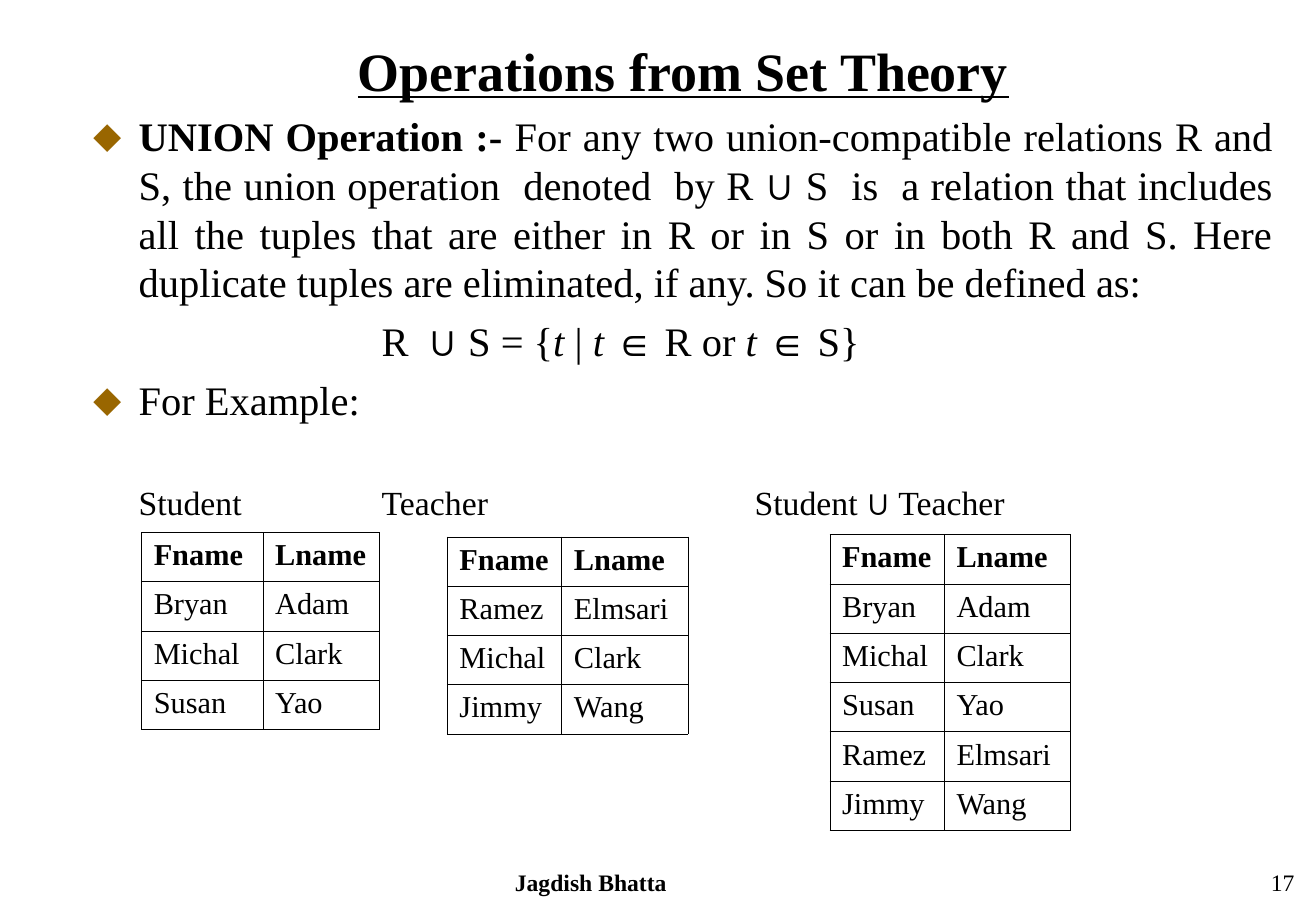
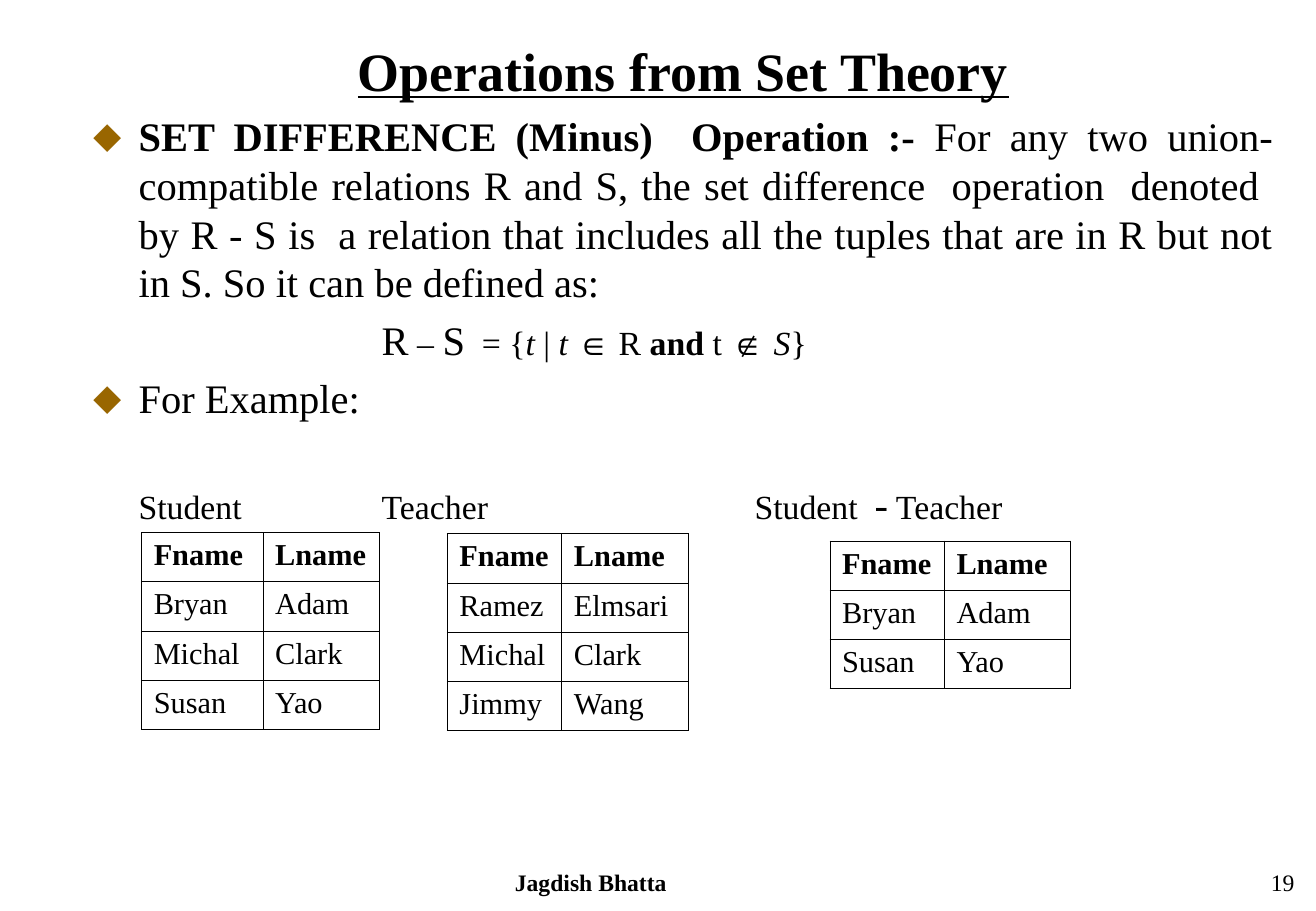
"""Build two slides on set operations of relational algebra."""
from dataclasses import dataclass
from typing import Optional

from lxml import etree
from pptx import Presentation
from pptx import util as u
from pptx.dml.color import RGBColor
from pptx.enum import text
from pptx.oxml.ns import qn

Pt = u.Pt
COLORS = {"ink": "000000", "bullet": "996600", "page": "FFFFFF"}
SERIF, SANS = "Times New Roman", "Arial"
ALIGN = text.PP_ALIGN
PAGE_WIDTH, PAGE_HEIGHT = 780.48, 540
ROW_HEIGHT = 29.2
BORDER_WIDTH = 0.45
HANGING = 27
FORMULA_INDENT = 171.2
HEADER = ("Fname", "Lname")


@dataclass(frozen=True)
class Span:
    words: str
    size: float = 24
    bold: bool = False
    italic: bool = False
    underline: bool = False
    font: str = SERIF


@dataclass(frozen=True)
class Block:
    spans: tuple[Span, ...]
    align: ALIGN = ALIGN.LEFT
    bullet: bool = False
    indent: float = 0
    before: float = 0
    line: Optional[float] = None


@dataclass(frozen=True)
class Frame:
    left: float
    top: float
    width: float
    height: float


@dataclass(frozen=True)
class Slot:
    caption_left: float
    table_left: float
    widths: tuple[float, float]


@dataclass(frozen=True)
class Relation:
    caption: tuple[Span, ...]
    people: tuple[tuple[str, str], ...]
    top: float
    caption_drop: float = 0


@dataclass(frozen=True)
class Operation:
    number: int
    definition: tuple[Span, ...]
    formula: tuple[Span, ...]
    formula_before: float
    caption_top: float
    relations: tuple[Relation, ...]


TITLE = Frame(48.2, 22, 714.2, 38)
BODY = Frame(55.2, 65.7, 699.8, 192)
AUTHOR = Frame(211.4, 514.4, 278, 17)
NUMBER = Frame(612.3, 514.4, 155.5, 17)
SLOTS = (
    Slot(82.2, 84, (72, 69)),
    Slot(226.4, 265.3, (67.9, 74.9)),
    Slot(447.5, 492.2, (67.9, 74.9)),
)

BRYAN, MICHAL, SUSAN = ("Bryan", "Adam"), ("Michal", "Clark"), ("Susan", "Yao")
RAMEZ, JIMMY = ("Ramez", "Elmsari"), ("Jimmy", "Wang")
STUDENTS = (BRYAN, MICHAL, SUSAN)
TEACHERS = (RAMEZ, MICHAL, JIMMY)


def student() -> Relation:
    return Relation((Span("Student", 20),), STUDENTS, 315.6)


def teacher(top: float) -> Relation:
    return Relation((Span("Teacher", 20),), TEACHERS, top)


OPERATIONS = (
    Operation(
        17,
        (
            Span("UNION Operation :- ", bold=True),
            Span("For any two union-compatible relations R and S, the union "
                 "operation  denoted  by R "),
            Span("∪", bold=True, font=SANS),
            Span(" S  is  a relation that includes all the tuples that are "
                 "either in R or in S or in both R and S. Here duplicate "
                 "tuples are eliminated, if any. So it can be defined as:"),
        ),
        (
            Span("R  "), Span("∪", font=SANS), Span(" S = {"),
            Span("t", italic=True), Span(" | "), Span("t ", italic=True),
            Span("∈", font=SANS), Span(" R or"), Span(" t ", italic=True),
            Span("∈", font=SANS), Span(" S}"),
        ),
        6,
        285.3,
        (
            student(),
            teacher(318.3),
            Relation(
                (Span("Student ", 20), Span("∪", 20, bold=True, font=SANS),
                 Span(" Teacher", 20)),
                STUDENTS + (RAMEZ, JIMMY), 317),
        ),
    ),
    Operation(
        19,
        (
            Span("SET DIFFERENCE (Minus)  Operation :- ", bold=True),
            Span("For any two union-compatible relations R and S, the set "
                 "difference  operation  denoted  by R - S is  a relation "
                 "that includes all the tuples that are in R but not in S. "
                 "So it can be defined as:"),
        ),
        (
            Span("R"), Span(" – ", 20, italic=True), Span("S"),
            Span("  = {", 20), Span("t", 20, italic=True), Span(" | ", 20),
            Span("t ", 20, italic=True), Span("∈", 20, font=SANS),
            Span(" R ", 20), Span("and", 20, bold=True), Span(" t ", 20),
            Span("∉ ", 20, font=SANS), Span("S", 20, italic=True),
            Span("}", 20),
        ),
        5,
        288.1,
        (
            student(),
            teacher(316.3),
            Relation(
                (Span("Student  ", 20), Span("-"), Span(" Teacher", 20)),
                (BRYAN, SUSAN), 320.6, caption_drop=0.9),
        ),
    ),
)


def add_bullet(properties) -> None:
    color = etree.SubElement(properties, qn("a:buClr"))
    etree.SubElement(color, qn("a:srgbClr"), val=COLORS["bullet"])
    etree.SubElement(properties, qn("a:buFont"), typeface=SANS)
    etree.SubElement(properties, qn("a:buChar"), char="⬥")


def write_block(para, block: Block) -> None:
    properties = para._p.get_or_add_pPr()
    if block.bullet:
        add_bullet(properties)
    hanging = HANGING if block.bullet else 0
    properties.set("marL", str(int(Pt(block.indent + hanging))))
    properties.set("indent", str(int(Pt(-hanging))))
    layout = {"alignment": block.align, "space_before": Pt(block.before)}
    if block.line:
        layout["line_spacing"] = Pt(block.line)
    for name, value in layout.items():
        setattr(para, name, value)
    for span in block.spans:
        run = para.add_run()
        run.text = span.words
        formats = {"name": span.font, "size": Pt(span.size),
                   "bold": span.bold, "italic": span.italic,
                   "underline": span.underline}
        for name, value in formats.items():
            setattr(run.font, name, value)
        run.font.color.rgb = RGBColor.from_string(COLORS["ink"])


def write_box(box, blocks: tuple[Block, ...]) -> None:
    frame = box.text_frame
    formats = {"margin_left": 0, "margin_right": 0, "margin_top": 0,
               "margin_bottom": 0, "word_wrap": True,
               "auto_size": text.MSO_AUTO_SIZE.NONE,
               "vertical_anchor": text.MSO_ANCHOR.TOP}
    for name, value in formats.items():
        setattr(frame, name, value)
    for index, block in enumerate(blocks):
        para = frame.add_paragraph() if index else frame.paragraphs[0]
        write_block(para, block)


def add_box(page, place: Frame, *blocks: Block) -> None:
    box = page.shapes.add_textbox(
        Pt(place.left), Pt(place.top), Pt(place.width), Pt(place.height))
    write_box(box, blocks)


def add_title(page) -> None:
    box = page.shapes.title
    for name in ("left", "top", "width", "height"):
        setattr(box, name, Pt(getattr(TITLE, name)))
    heading = Span("Operations from Set Theory", 32, bold=True, underline=True)
    write_box(box, (Block((heading,), ALIGN.CENTER),))


def add_borders(cell) -> None:
    properties = cell._tc.get_or_add_tcPr()
    for side in ("lnL", "lnR", "lnT", "lnB"):
        line = etree.SubElement(
            properties, qn(f"a:{side}"), w=str(int(Pt(BORDER_WIDTH))))
        fill = etree.SubElement(line, qn("a:solidFill"))
        etree.SubElement(fill, qn("a:srgbClr"), val=COLORS["ink"])


def add_relation(page, relation: Relation, slot: Slot,
                 caption_top: float) -> None:
    caption_place = Frame(
        slot.caption_left, caption_top + relation.caption_drop, 170, 24)
    add_box(page, caption_place, Block(relation.caption, line=24))
    rows = (HEADER,) + relation.people
    table = page.shapes.add_table(
        len(rows), len(HEADER), Pt(slot.table_left), Pt(relation.top),
        Pt(sum(slot.widths)), Pt(ROW_HEIGHT * len(rows))).table
    table.first_row = table.horz_banding = False
    for column, width in zip(table.columns, slot.widths):
        column.width = Pt(width)
    for row_index, names in enumerate(rows):
        table.rows[row_index].height = Pt(ROW_HEIGHT)
        for column_index, name in enumerate(names):
            cell = table.cell(row_index, column_index)
            add_borders(cell)
            cell.fill.background()
            span = Span(name, 18, bold=row_index == 0)
            write_block(cell.text_frame.paragraphs[0], Block((span,)))


def add_operation(deck, operation: Operation) -> None:
    page = deck.slides.add_slide(deck.slide_layouts[5])
    page.background.fill.solid()
    page.background.fill.fore_color.rgb = RGBColor.from_string(COLORS["page"])
    add_title(page)
    add_box(
        page, BODY,
        Block(operation.definition, ALIGN.JUSTIFY, bullet=True, line=28.9),
        Block(operation.formula, indent=FORMULA_INDENT,
              before=operation.formula_before, line=28.9),
        Block((Span("For Example:"),), bullet=True, before=6, line=28.9))
    for relation, slot in zip(operation.relations, SLOTS):
        add_relation(page, relation, slot, operation.caption_top)
    add_box(page, AUTHOR,
            Block((Span("Jagdish Bhatta", 14, bold=True),), ALIGN.CENTER))
    add_box(page, NUMBER,
            Block((Span(str(operation.number), 14),), ALIGN.RIGHT))


def main() -> None:
    deck = Presentation()
    deck.slide_width = Pt(PAGE_WIDTH)
    deck.slide_height = Pt(PAGE_HEIGHT)
    for operation in OPERATIONS:
        add_operation(deck, operation)
    deck.save("out.pptx")


if __name__ == "__main__":
    main()
